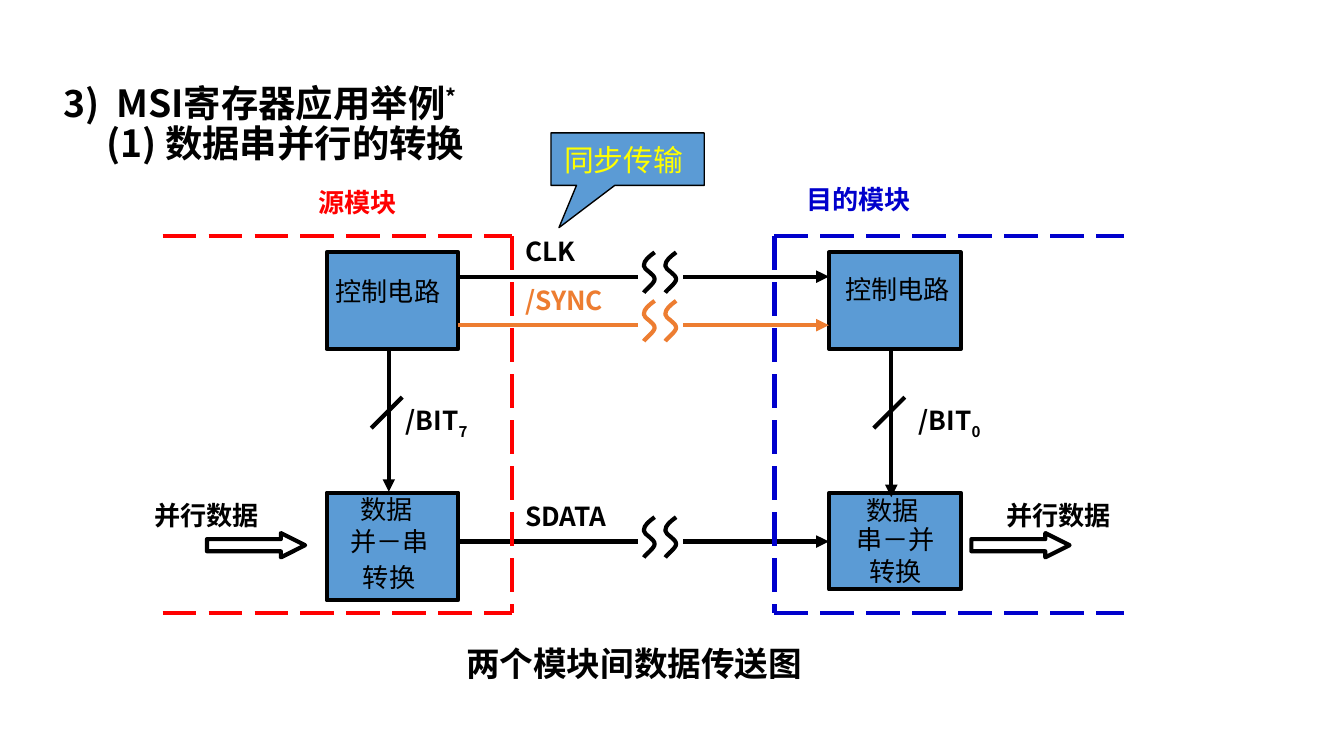
from dataclasses import dataclass

from lxml.etree import SubElement
from pptx import Presentation
from pptx.dml.color import RGBColor as RGB
from pptx.enum.dml import MSO_LINE
from pptx.enum.shapes import MSO_CONNECTOR, MSO_SHAPE as Preset
from pptx.enum.text import MSO_ANCHOR as Anchor, PP_ALIGN as Align
from pptx.oxml.ns import qn
from pptx.util import Pt


@dataclass(frozen=True)
class Theme:
    font: str = "Noto Sans CJK JP"
    black: RGB = RGB(0, 0, 0)
    white: RGB = RGB(255, 255, 255)
    block: RGB = RGB(0x5B, 0x9B, 0xD5)
    source: RGB = RGB(255, 0, 0)
    target: RGB = RGB(0, 0, 0xCC)
    sync: RGB = RGB(0xED, 0x7D, 0x31)
    callout: RGB = RGB(255, 255, 0)
    title_size: int = 20
    caption_size: int = 18
    callout_size: int = 16
    label_size: int = 14
    stroke: float = 2.25
    thin: float = 0.75


class Diagram:
    def __init__(self, slide, theme):
        self.slide, self.shapes, self.theme = slide, slide.shapes, theme

    def style(self, paragraph, size, color, bold):
        font = paragraph.font
        font.name, font.size, font.bold = self.theme.font, Pt(size), bold
        font.color.rgb = color
        for properties in paragraph._p.iter(qn("a:defRPr")):
            SubElement(properties, qn("a:ea")).set("typeface", self.theme.font)

    def shift(self, paragraph, text, percent):
        """Add a run raised (positive) or lowered (negative) by a percentage."""
        run = paragraph.add_run()
        run.text = text
        run._r.get_or_add_rPr().set("baseline", str(percent * 1000))

    def title(self, heading, mark, subheading):
        title = self.shapes.title
        title.left, title.top, title.width, title.height = map(Pt, (26.6, 41.8, 516.2, 63.4))
        frame = title.text_frame
        frame.vertical_anchor, frame.word_wrap = Anchor.TOP, True
        first, second = frame.paragraphs[0], frame.add_paragraph()
        first.add_run().text = heading
        self.shift(first, mark, 30)
        second.add_run().text = subheading
        tabs = SubElement(first._p.get_or_add_pPr(), qn("a:tabLst"))
        SubElement(tabs, qn("a:tab"), pos=str(Pt(28.5)), algn="l")
        second._p.get_or_add_pPr().set("marL", str(Pt(23.2)))
        for paragraph in (first, second):
            paragraph.alignment, paragraph.line_spacing = Align.LEFT, 0.9
            paragraph.space_before = Pt(0)
            self.style(paragraph, self.theme.title_size, self.theme.black, True)

    def text(self, lines, x, y, width, height=24.5, color=None, size=None, bold=True,
             align=Align.LEFT, spacing=None, subscript=None):
        frame = self.shapes.add_textbox(Pt(x), Pt(y), Pt(width), Pt(height)).text_frame
        frame.word_wrap = True
        for index, line in enumerate(lines.split("\n")):
            paragraph = frame.add_paragraph() if index else frame.paragraphs[0]
            paragraph.add_run().text = line
            if subscript:
                self.shift(paragraph, subscript, -25)
            paragraph.alignment = align
            if spacing:
                paragraph.line_spacing = spacing
            if index:
                paragraph.space_before = Pt(7)
            self.style(paragraph, size or self.theme.label_size, color or self.theme.black, bold)

    def shape(self, preset, x, y, width, height, fill, stroke=None, adjustments=()):
        shape = self.shapes.add_shape(preset, Pt(x), Pt(y), Pt(width), Pt(height))
        shape.shadow.inherit = False
        shape.fill.solid()
        shape.fill.fore_color.rgb = fill
        shape.line.color.rgb = self.theme.black
        shape.line.width = Pt(stroke or self.theme.stroke)
        for index, value in enumerate(adjustments):
            shape.adjustments[index] = value
        return shape

    def callout(self, text, x, y, width, height):
        theme = self.theme
        shape = self.shape(Preset.RECTANGULAR_CALLOUT, x, y, width, height,
                           theme.block, theme.thin, (-0.448, 1.308))
        frame = shape.text_frame
        frame.vertical_anchor, frame.word_wrap = Anchor.MIDDLE, True
        paragraph = frame.paragraphs[0]
        paragraph.add_run().text = text
        paragraph.alignment = Align.LEFT
        self.style(paragraph, theme.callout_size, theme.callout, False)

    def line(self, x1, y1, x2, y2, color=None, arrow=False, dashed=False):
        connector = self.shapes.add_connector(MSO_CONNECTOR.STRAIGHT, *map(Pt, (x1, y1, x2, y2)))
        connector.line.color.rgb = color or self.theme.black
        connector.line.width = Pt(self.theme.stroke)
        if dashed:
            connector.line.dash_style = MSO_LINE.LONG_DASH
        if arrow:
            SubElement(connector.line._get_or_add_ln(), qn("a:tailEnd"), type="triangle")
        SubElement(connector._element.spPr, qn("a:effectLst"))

    def squiggle(self, x, y, color):
        """Draw an S-shaped break mark from three cubic curves."""
        controls = ((2.9, 2.2), (0, 4.3), (0, 7.2),
                    (0, 9.4), (5.8, 11.5), (5.8, 14.4),
                    (5.8, 16.6), (0.7, 20.2), (0, 21.6))
        builder = self.shapes.build_freeform(Pt(x + 5.8), Pt(y))
        builder.add_line_segments([(Pt(x + dx), Pt(y + dy)) for dx, dy in controls], close=False)
        mark = builder.convert_to_shape()
        segments = list(mark._element.iter(qn("a:lnTo")))
        outline = segments[0].getparent()
        for start in range(0, len(segments), 3):
            curve = SubElement(outline, qn("a:cubicBezTo"))
            for segment in segments[start:start + 3]:
                curve.append(segment[0])
                outline.remove(segment)
        mark.shadow.inherit = False
        mark.fill.background()
        mark.line.color.rgb = color
        mark.line.width = Pt(self.theme.stroke)

    def signal(self, name, y, color):
        self.line(245.5, y, 342, y, color)
        self.line(366, y, 444, y, color, arrow=True)
        for x in (344.9, 356.4):
            self.squiggle(x, y - 13, color)
        self.text(name, 274.3, y - 25.5, 100, color=color)

    def module(self, left, converter_height, arrow_end):
        """Draw the control and converter blocks with the bus between them."""
        block = self.theme.block
        self.shape(Preset.RECTANGLE, left, 135.2, 70.5, 51.8, block)
        self.shape(Preset.RECTANGLE, left, 264, 70.5, converter_height, block)
        bus = left + 33.3
        self.line(bus, 186.5, bus, arrow_end, arrow=True)
        self.line(bus + 7.2, 212.8, bus - 9.4, 229.4)

    def border(self, outer, inner, wall, color):
        for y in (126.6, 328.3):
            self.line(outer, y, inner, y, color, dashed=True)
        self.line(wall, 126.6, wall, 328.3, color, dashed=True)


def main():
    deck = Presentation()
    deck.slide_width, deck.slide_height = Pt(720), Pt(405)
    theme = Theme()
    diagram = Diagram(deck.slides.add_slide(deck.slide_layouts[5]), theme)
    diagram.title("3)\tMSI寄存器应用举例", "*", "(1) 数据串并行的转换")
    diagram.text("两个模块间数据传送图", 242.6, 341, 324, 28.8, size=theme.caption_size)

    diagram.module(175, 57.6, 263.5)
    diagram.module(444.2, 51.8, 266.4)
    plain = {"bold": False, "align": Align.CENTER}
    diagram.text("控制电路", 151.4, 144, 113, **plain)
    diagram.text("控制电路", 431.6, 143, 98.6, **plain)
    diagram.text("数据 \n并－串", 164.2, 266.6, 89.3, 37.4, spacing=0.6, **plain)
    diagram.text("数据 \n串－并", 437, 268.6, 85.7, 34.6, spacing=0.5, **plain)
    for x, y in ((187.4, 297.3), (458.8, 294.2)):
        diagram.text("转换", x, y, 76.3, bold=False)

    for arrow_x, label_x in ((110.9, 75.6), (520.4, 532.1)):
        diagram.shape(Preset.RIGHT_ARROW, arrow_x, 285.6, 52.6, 13, theme.white,
                      adjustments=(0.5, 1))
        diagram.text("并行数据", label_x, 264.2, 110)
    for name, y, color in (("CLK", 148.2, theme.black), ("/SYNC", 174.2, theme.sync),
                           ("SDATA", 290.1, theme.black)):
        diagram.signal(name, y, color)
    for bit, x in (("7", 210.2), ("0", 485.1)):
        diagram.text("/BIT", x, 213.3, 76.3, subscript=bit)

    diagram.text("源模块", 163.4, 96.5, 87.8, color=theme.source)
    diagram.text("目的模块", 424.8, 94.7, 124.6, color=theme.target)
    diagram.border(87.1, 274.5, 274.5, theme.source)
    diagram.border(414.9, 602.4, 414.9, theme.target)
    diagram.callout("同步传输", 295.2, 71.2, 82.1, 28.1)
    deck.save("out.pptx")


if __name__ == "__main__":
    main()
